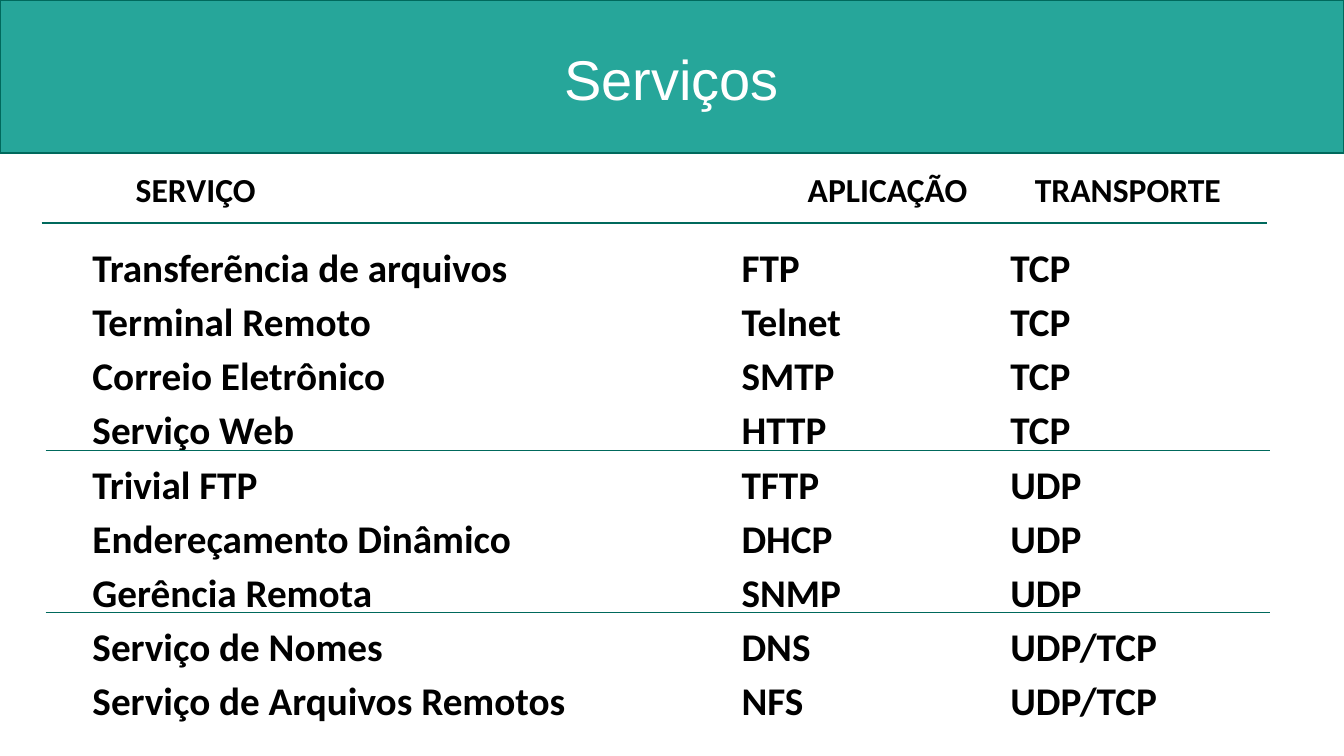
from lxml import etree
from pptx import Presentation
from pptx.dml.color import RGBColor
from pptx.enum.shapes import MSO_CONNECTOR, MSO_SHAPE
from pptx.enum.text import MSO_ANCHOR, PP_ALIGN
from pptx.oxml.ns import qn
from pptx.util import Pt

TEAL, DARK_TEAL = "26A69A", "00695C"
INSET = 7.2
HEADINGS = ["SERVIÇO", "APLICAÇÃO", "TRANSPORTE"]
HEADING_TABS = [360, 481.7]
SERVICES = [
    ("Transferẽncia de arquivos", "FTP", "TCP"),
    ("Terminal Remoto", "Telnet", "TCP"),
    ("Correio Eletrônico", "SMTP", "TCP"),
    ("Serviço Web", "HTTP", "TCP"),
    ("Trivial FTP", "TFTP", "UDP"),
    ("Endereçamento Dinâmico", "DHCP", "UDP"),
    ("Gerência Remota", "SNMP", "UDP"),
    ("Serviço de Nomes", "DNS", "UDP/TCP"),
    ("Serviço de Arquivos Remotos", "NFS", "UDP/TCP"),
]
COLUMNS = [(42.5, 291), (390.2, 80.6), (534.2, 131)]
RULES = [(24.5, 241.2, 656), (24.5, 328.3, 656), (22.3, 119.5, 656.6)]


def color(value):
    return RGBColor.from_string(value)


def add_text(s, box, lines, size, font="Calibri", fill="000000", bold=True):
    tf = s.shapes.add_textbox(*map(Pt, box)).text_frame
    tf.word_wrap = True
    tf.margin_left = tf.margin_right = Pt(INSET)
    tf.margin_top = tf.margin_bottom = Pt(INSET)
    tf.text = "\n".join(lines)
    for p in tf.paragraphs:
        for r in p.runs:
            r.font.size = Pt(size)
            r.font.name = font
            r.font.bold = bold
            r.font.color.rgb = color(fill)
    return tf


def add_title(s, x, y, w, h):
    banner = s.shapes.add_shape(MSO_SHAPE.RECTANGLE, Pt(x), Pt(y), Pt(w), Pt(h))
    banner.shadow.inherit = False
    banner.fill.solid()
    banner.fill.fore_color.rgb = color(TEAL)
    banner.line.color.rgb = color(DARK_TEAL)
    banner.line.width = Pt(0.75)
    box = (x + 266.4, y + 16.6, 186.5, 50.4)
    tf = add_text(s, box, ["Serviços"], 30, "Arial", "FFFFFF", False)
    tf.vertical_anchor = MSO_ANCHOR.MIDDLE
    tf.paragraphs[0].alignment = PP_ALIGN.CENTER


def add_columns(s, y, h):
    for (x, w), entries in zip(COLUMNS, zip(*SERVICES)):
        tf = add_text(s, (x, y, w, h), entries, 21)
        for p in tf.paragraphs:
            p.line_spacing = 1.15


def add_headings(s, x, y, w, h):
    tf = add_text(s, (x, y, w, h), ["\t".join(HEADINGS)], 18)
    tf.margin_left = Pt(INSET + 36)
    tabs = etree.SubElement(tf.paragraphs[0]._p.get_or_add_pPr(), qn("a:tabLst"))
    for pos in HEADING_TABS:
        etree.SubElement(tabs, qn("a:tab"), pos=str(Pt(pos)), algn="l")


def add_rule(s, x, y, w):
    line = s.shapes.add_connector(
        MSO_CONNECTOR.STRAIGHT, Pt(x), Pt(y), Pt(x + w), Pt(y))
    line.line.color.rgb = color(DARK_TEAL)
    line.line.width = Pt(0.75)
    etree.SubElement(line._element.spPr, qn("a:effectLst"))


def main():
    prs = Presentation()
    prs.slide_width, prs.slide_height = Pt(720), Pt(405)
    s = prs.slides.add_slide(prs.slide_layouts[6])
    add_title(s, 0, 0, 720, 82)
    add_columns(s, 119.5, 271.4)
    add_headings(s, 29.5, 83.5, 671, 41)
    for rule in RULES:
        add_rule(s, *rule)
    prs.save("out.pptx")


if __name__ == "__main__":
    main()
